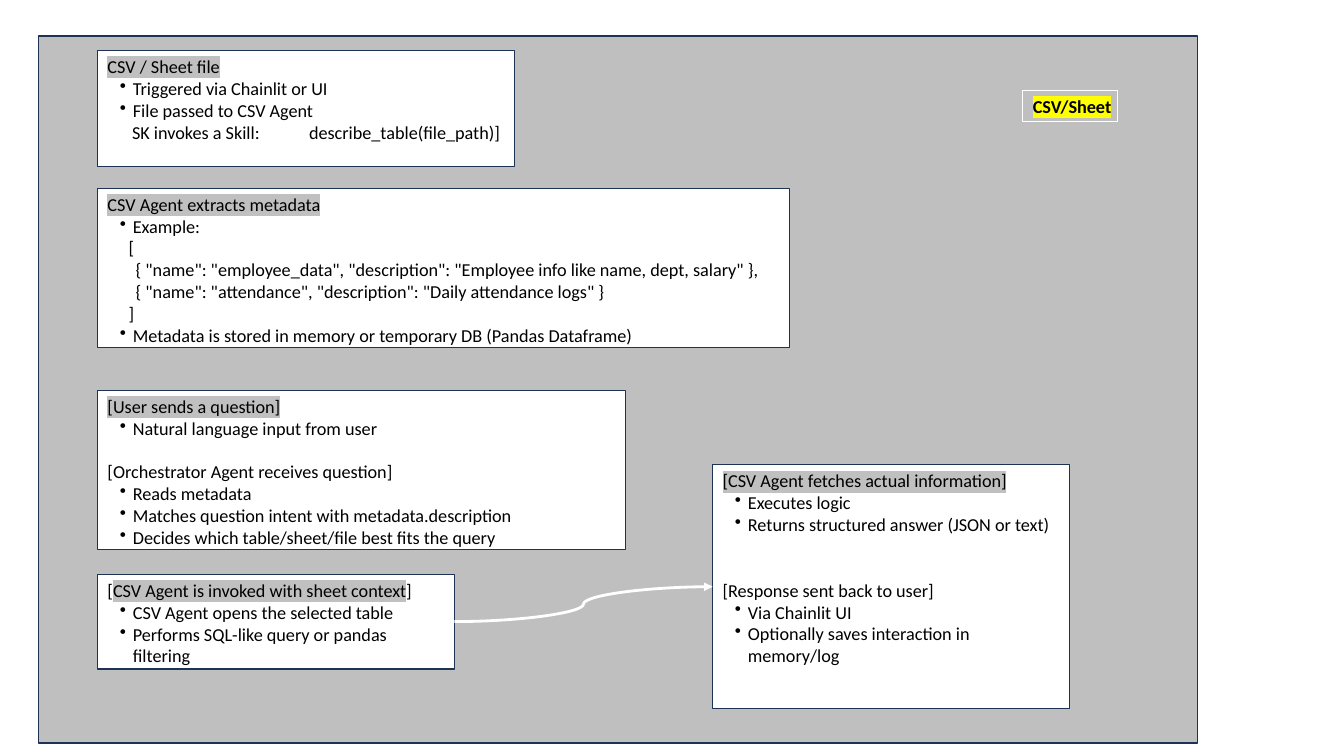
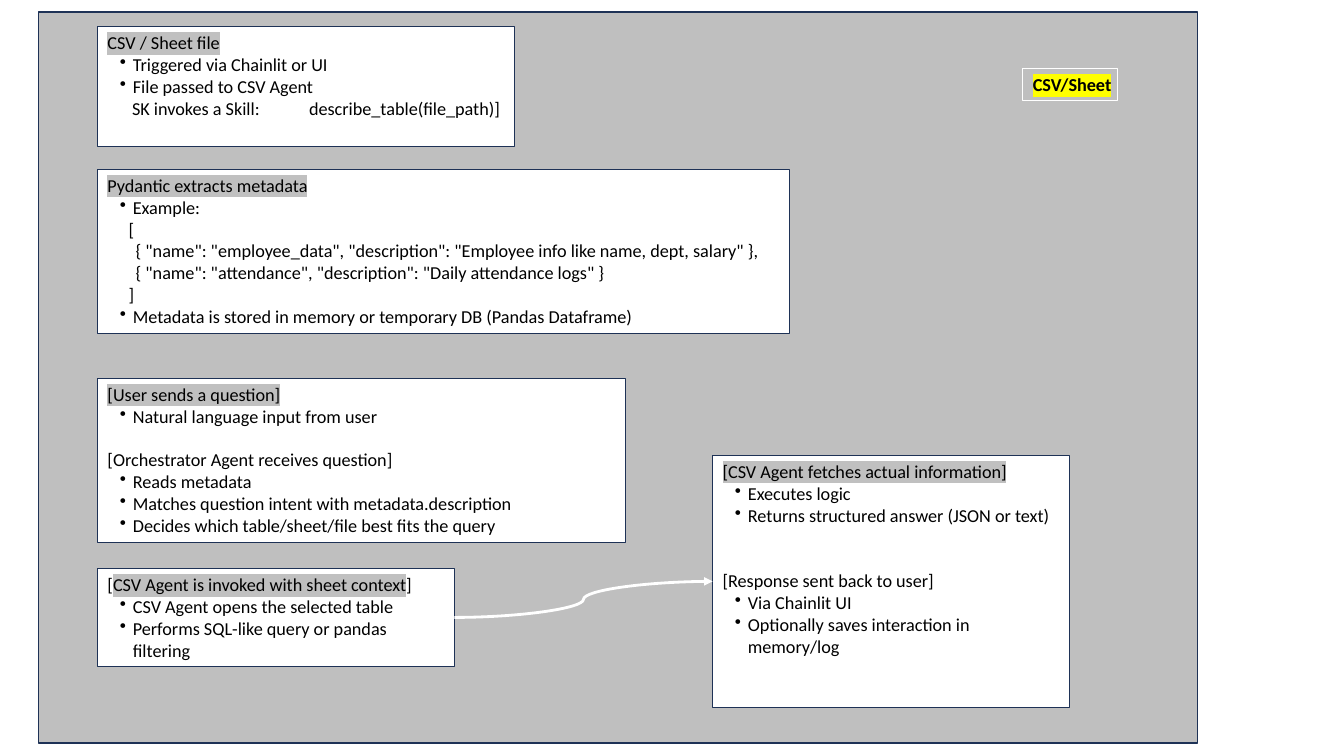
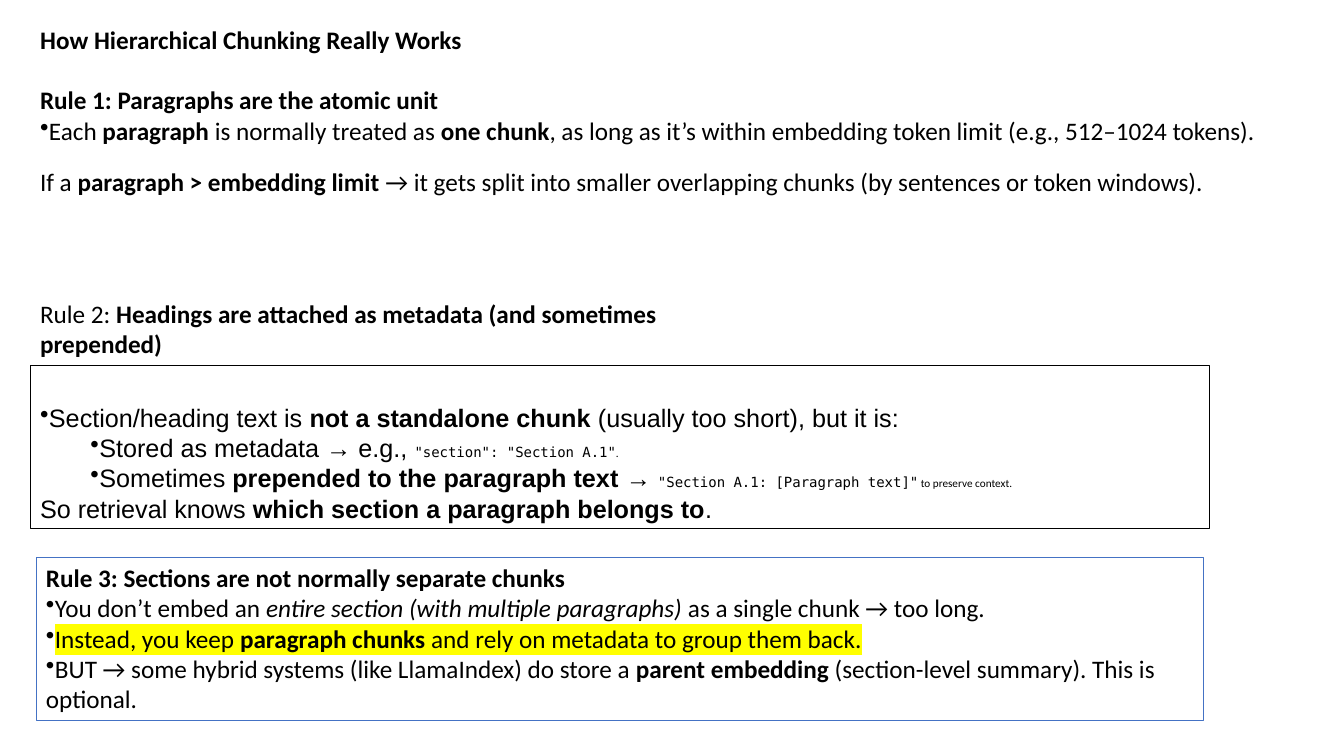
from dataclasses import dataclass

from lxml import etree
from pptx import Presentation
from pptx.dml.color import RGBColor
from pptx.enum.shapes import MSO_CONNECTOR, MSO_SHAPE
from pptx.enum.text import MSO_ANCHOR, MSO_AUTO_SIZE, PP_ALIGN
from pptx.oxml.ns import qn
from pptx.util import Cm, Pt

CURVE = MSO_CONNECTOR.CURVE
RECTANGLE = MSO_SHAPE.RECTANGLE
TOP, MIDDLE, BOTTOM = MSO_ANCHOR.TOP, MSO_ANCHOR.MIDDLE, MSO_ANCHOR.BOTTOM
LEFT = PP_ALIGN.LEFT
NO_AUTOFIT = MSO_AUTO_SIZE.NONE
TITLE_ONLY, BLANK = 5, 6

BLACK, WHITE = "000000", "FFFFFF"
GREY, NAVY, BLUE = "BFBFBF", "1E3256", "4472C4"
GREY_MARK, YELLOW_MARK = "C0C0C0", "FFFF00"

STYLES = {
    "bold": {"bold": True},
    "italic": {"italic": True},
    "grey": {"mark": GREY_MARK},
    "yellow": {"mark": YELLOW_MARK},
    "yellow bold": {"mark": YELLOW_MARK, "bold": True},
    "code": {"size": 10, "name": "DejaVu Sans Mono"},
    "small": {"size": 8, "name": "Calibri"},
}

PANEL_LEFT, PANEL_WIDTH, PANEL_BOTTOM = 0.97, 29.21, 18.72
BASE_HEIGHT = 17.81
LEFT_COLUMN, RIGHT_COLUMN = 2.46, 17.96
LINE_GAP = 15.6


def color(hex_string):
    return RGBColor.from_string(hex_string)


@dataclass
class Line:
    runs: tuple
    margin: float = 0
    indent: float = 0
    bullet: bool = False
    before: float = 0
    tab: float = 0


def line(*runs, **options):
    return Line(runs, **options)


def step(*runs):
    return Line(runs, margin=0.64, indent=-0.33, bullet=True)


def point(*runs, margin=0):
    return Line(runs, margin=margin, bullet=True)


class Deck:
    def __init__(self):
        self.presentation = Presentation()
        self.presentation.slide_width = Cm(33.87)
        self.presentation.slide_height = Cm(19.05)
        self.slide = None

    def add_slide(self, layout):
        layouts = self.presentation.slide_layouts
        self.slide = self.presentation.slides.add_slide(layouts[layout])

    def fill_frame(self, frame, lines, size, font="Calibri", anchor=TOP):
        frame.word_wrap = True
        frame.auto_size = NO_AUTOFIT
        frame.vertical_anchor = anchor
        for index, item in enumerate(lines):
            paragraph = frame.paragraphs[0] if index == 0 else frame.add_paragraph()
            self.format_paragraph(paragraph, item)
            paragraph.font.size = Pt(size)
            paragraph.font.name = font
            paragraph.font.color.rgb = color(BLACK)
            for run in item.runs:
                text, style = (run, None) if isinstance(run, str) else run
                self.add_run(paragraph, text, **STYLES.get(style, {}))

    def format_paragraph(self, paragraph, item):
        paragraph.alignment = LEFT
        paragraph.space_before = Pt(item.before)
        properties = paragraph._p.get_or_add_pPr()
        properties.set("marL", str(Cm(item.margin)))
        properties.set("indent", str(Cm(item.indent)))
        if item.bullet:
            etree.SubElement(properties, qn("a:buChar")).set("char", "•")
        if item.tab:
            stops = etree.SubElement(properties, qn("a:tabLst"))
            stop = etree.SubElement(stops, qn("a:tab"))
            stop.set("pos", str(Cm(item.tab)))
            stop.set("algn", "l")

    def add_run(self, paragraph, text, bold=None, italic=None, mark=None,
                size=None, name=None):
        run = paragraph.add_run()
        run.text = text
        run.font.bold = bold
        run.font.italic = italic
        if size:
            run.font.size = Pt(size)
            run.font.name = name
        if mark:
            highlight = etree.SubElement(run._r.get_or_add_rPr(), qn("a:highlight"))
            etree.SubElement(highlight, qn("a:srgbClr")).set("val", mark)

    def box(self, place, lines=(), fill=WHITE, outline=NAVY, width=0.75,
            size=13, **text_options):
        shape = self.slide.shapes.add_shape(RECTANGLE, *map(Cm, place))
        shape.shadow.inherit = False
        if fill:
            shape.fill.solid()
            shape.fill.fore_color.rgb = color(fill)
        else:
            shape.fill.background()
        shape.line.color.rgb = color(outline)
        shape.line.width = Pt(width)
        self.fill_frame(shape.text_frame, lines, size, **text_options)
        return shape

    def text(self, place, *lines):
        area = self.slide.shapes.add_textbox(*map(Cm, place))
        self.fill_frame(area.text_frame, lines, 18)

    def title(self, place, text):
        heading = self.slide.shapes.title
        heading.left, heading.top, heading.width, heading.height = map(Cm, place)
        self.fill_frame(heading.text_frame, [line((text, "bold"))], 18)

    def arrow(self, source, target):
        connector = self.slide.shapes.add_connector(CURVE, 0, 0, 0, 0)
        connector.begin_connect(source, 3)
        connector.end_connect(target, 1)
        connector.line.color.rgb = color(WHITE)
        connector.line.width = Pt(2)
        outline = connector.line._get_or_add_ln()
        etree.SubElement(outline, qn("a:tailEnd")).set("type", "triangle")
        etree.SubElement(connector._element.spPr, qn("a:effectLst"))


def add_flow(deck, panel_top, extractor):
    deck.add_slide(BLANK)
    panel_height = PANEL_BOTTOM - panel_top
    stretch = panel_height / BASE_HEIGHT

    def place(left, offset, width, height):
        return left, panel_top + offset * stretch, width, height * stretch

    deck.box((PANEL_LEFT, panel_top, PANEL_WIDTH, panel_height), fill=GREY, width=1)
    deck.box(place(LEFT_COLUMN, 0.36, 10.52, 2.92), [
        line(("CSV / Sheet file", "grey")),
        step("Triggered via Chainlit or UI"),
        step("File passed to CSV Agent"),
        line("SK invokes a Skill:\tdescribe_table(file_path)]", indent=0.62, tab=4.27),
    ])
    deck.box(place(LEFT_COLUMN, 3.83, 17.45, 4.01), [
        line((f"{extractor} extracts metadata", "grey")),
        step("Example:"),
        line("[", indent=0.53),
        line('{ "name": "employee_data", "description": '
             '"Employee info like name, dept, salary" },', indent=0.71),
        line('{ "name": "attendance", "description": "Daily attendance logs" }',
             indent=0.71),
        line("]", indent=0.53),
        step("Metadata is stored in memory or temporary DB (Pandas Dataframe)"),
    ])
    deck.box(place(LEFT_COLUMN, 8.92, 13.31, 4.01), [
        line(("[User sends a question]", "grey")),
        step("Natural language input from user"),
        line("[Orchestrator Agent receives question]", before=LINE_GAP),
        step("Reads metadata"),
        step("Matches question intent with metadata.description"),
        step("Decides which table/sheet/file best fits the query"),
    ])
    invocation = deck.box(place(LEFT_COLUMN, 13.56, 8.99, 2.39), [
        line("[", ("CSV Agent is invoked with sheet context", "grey"), "]"),
        step("CSV Agent opens the selected table"),
        step("Performs SQL-like query or pandas filtering"),
    ])
    answer = deck.box(place(RIGHT_COLUMN, 10.8, 8.99, 6.15), [
        line(("[CSV Agent fetches actual information]", "grey")),
        step("Executes logic"),
        step("Returns structured answer (JSON or text)"),
        line("[Response sent back to user]", before=2 * LINE_GAP),
        step("Via Chainlit UI"),
        step("Optionally saves interaction in memory/log"),
    ])
    deck.arrow(invocation, answer)
    file_tag = deck.box(place(25.78, 1.37, 2.39, 0.79),
                        [line(("CSV/Sheet", "yellow bold"))],
                        fill=None, outline=WHITE, anchor=MIDDLE)
    file_tag.text_frame.margin_right = 0


def add_chunking_rules(deck):
    deck.add_slide(TITLE_ONLY)
    deck.title((0.76, 0.48, 16.94, 1.02), "How Hierarchical Chunking Really Works")
    deck.text(
        (0.76, 2.01, 31.17, 1.8),
        line(("Rule 1: Paragraphs are the atomic unit", "bold")),
        point("Each ", ("paragraph", "bold"), " is normally treated as ",
              ("one chunk", "bold"),
              ", as long as it’s within embedding token limit (e.g., 512–1024 tokens)."),
    )
    deck.text(
        (0.76, 4.06, 31.83, 1.02),
        line("If a ", ("paragraph > embedding limit", "bold"),
             " → it gets split into smaller overlapping chunks "
             "(by sentences or token windows)."),
    )
    deck.text(
        (0.76, 7.39, 16.94, 1.8),
        line("Rule 2: ",
             ("Headings are attached as metadata (and sometimes prepended)", "bold")),
    )
    deck.box((0.76, 9.2, 29.72, 4.11), [
        point("Section/heading text is ", ("not a standalone chunk", "bold"),
              " (usually too short), but it is:"),
        point("Stored as metadata → e.g., ", ('"section": "Section A.1"', "code"),
              (".", "small"), margin=1.27),
        point("Sometimes ", ("prepended to the paragraph text", "bold"), " → ",
              ('"Section A.1: [Paragraph text]"', "code"),
              (" to preserve context.", "small"), margin=1.27),
        line("So retrieval knows ", ("which section a paragraph belongs to", "bold"), "."),
    ], fill=None, outline=BLACK, size=18, font="Arial", anchor=BOTTOM)
    deck.box((0.91, 14.05, 29.41, 4.11), [
        line(("Rule 3: Sections are not normally separate chunks", "bold")),
        point("You don’t embed an ",
              ("entire section (with multiple paragraphs)", "italic"),
              " as a single chunk → too long."),
        point(("Instead, you keep ", "yellow"), ("paragraph chunks", "yellow bold"),
              (" and rely on metadata to group them back.", "yellow")),
        point("BUT → some hybrid systems (like LlamaIndex) do store a ",
              ("parent embedding", "bold"),
              " (section-level summary). This is optional."),
    ], fill=None, outline=BLUE, size=18)


def main():
    deck = Deck()
    add_flow(deck, 0.91, "CSV Agent")
    add_flow(deck, 0.3, "Pydantic")
    add_chunking_rules(deck)
    deck.presentation.save("out.pptx")


if __name__ == "__main__":
    main()
